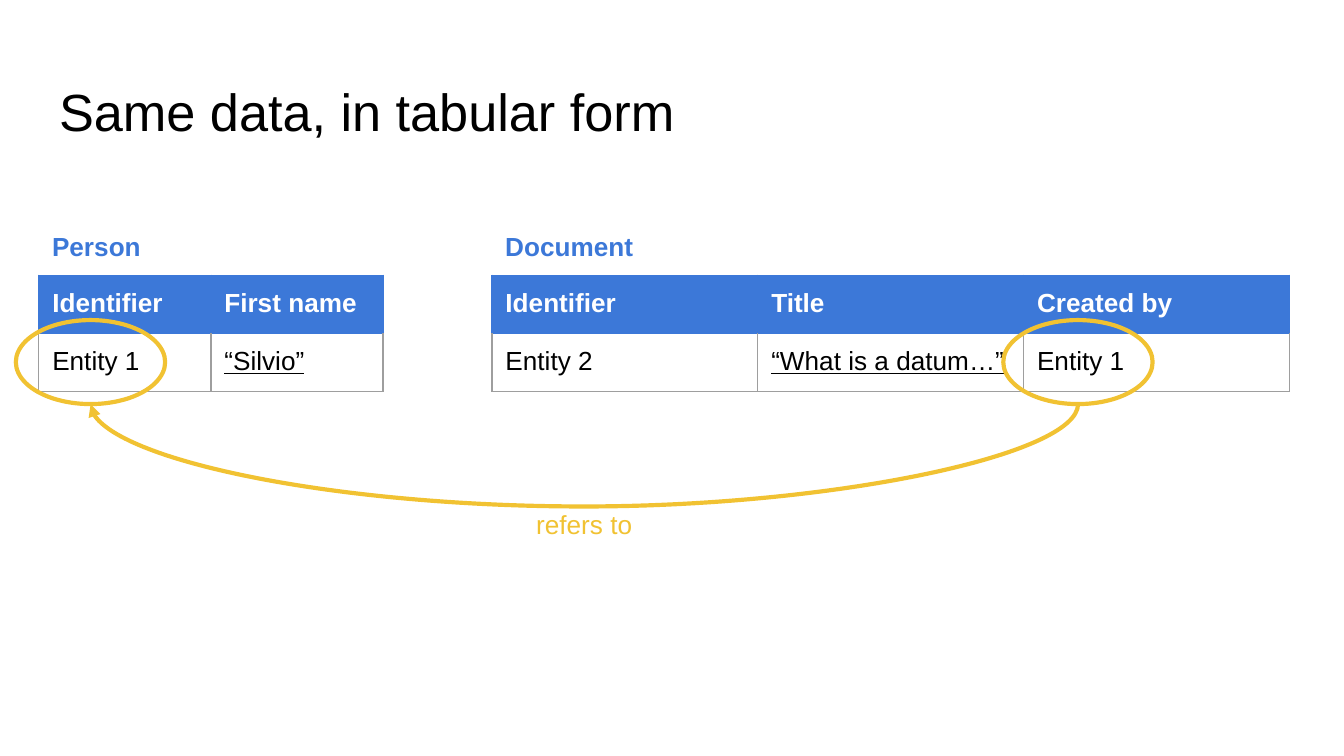
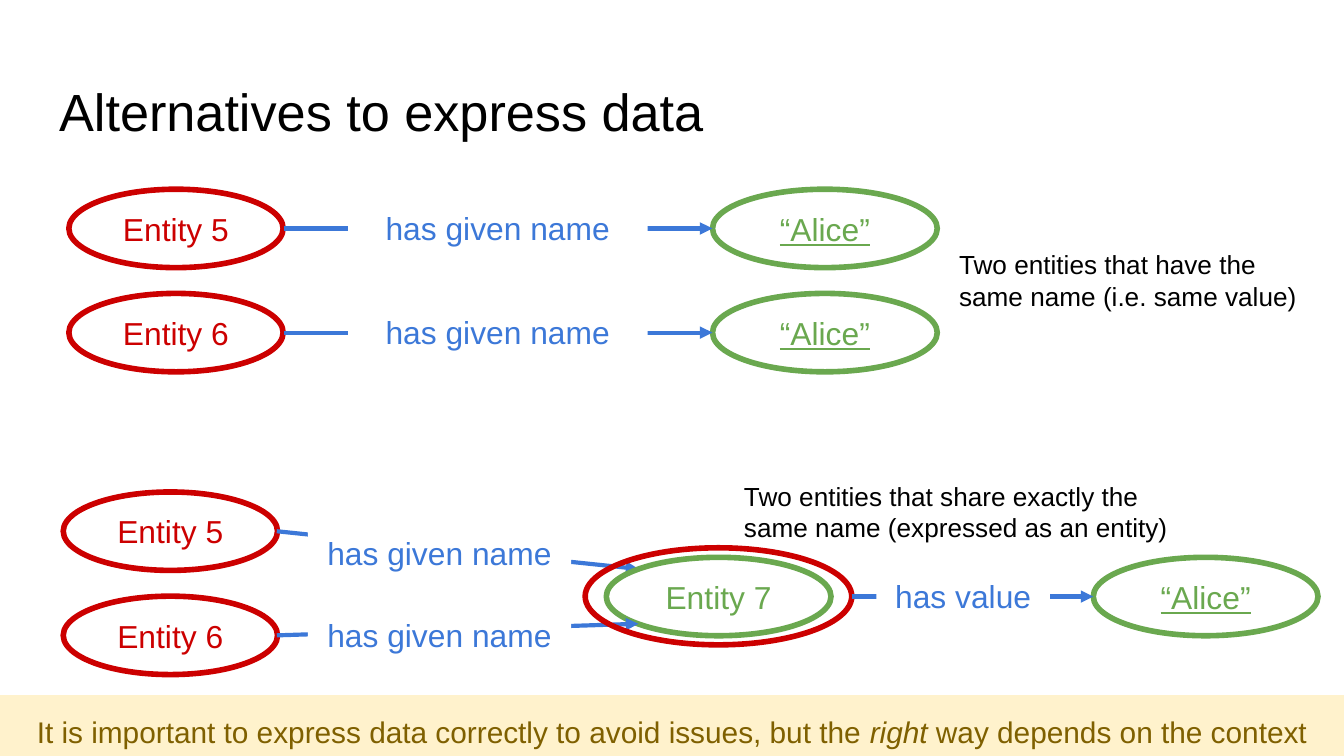
from lxml import etree
from pptx import Presentation
from pptx.dml.color import RGBColor
from pptx.enum.shapes import MSO_CONNECTOR, MSO_SHAPE
from pptx.enum.text import MSO_ANCHOR, MSO_AUTO_SIZE, PP_ALIGN
from pptx.oxml.ns import qn
from pptx.util import Pt

OVAL, RECTANGLE = MSO_SHAPE.OVAL, MSO_SHAPE.RECTANGLE
STRAIGHT, CURVE = MSO_CONNECTOR.STRAIGHT, MSO_CONNECTOR.CURVE
TOP, MIDDLE = MSO_ANCHOR.TOP, MSO_ANCHOR.MIDDLE
LEFT, CENTER = PP_ALIGN.LEFT, PP_ALIGN.CENTER

BLACK, WHITE, GRAY, BLUE = "000000", "FFFFFF", "9E9E9E", "3C78D8"
YELLOW, RED, GREEN = "F1C232", "CC0000", "6AA84F"
CREAM, BROWN = "FFF2CC", "7F6000"
color = RGBColor.from_string


def write(frame, text, size, ink, align=LEFT, anchor=TOP, **formats):
    """Fill a text frame with one paragraph and return the paragraph."""
    settings = {"word_wrap": True, "auto_size": MSO_AUTO_SIZE.NONE,
                "vertical_anchor": anchor}
    for side in ("left", "right", "top", "bottom"):
        settings["margin_" + side] = Pt(7.2)
    for name, value in settings.items():
        setattr(frame, name, value)
    paragraph = frame.paragraphs[0]
    paragraph.alignment = align
    # Text between asterisks is italic
    for index, part in enumerate(text.split("*")):
        run = paragraph.add_run()
        run.text = part
        run.font.color.rgb = color(ink)
        font = {"name": "Arial", "size": Pt(size), "bold": False,
                "italic": index % 2 == 1, **formats}
        for name, value in font.items():
            setattr(run.font, name, value)
    return paragraph


def add_box(slide, kind, box, fill=None, line=None, width=3):
    """Add a preset shape with an optional fill and outline."""
    shape = slide.shapes.add_shape(kind, *map(Pt, box))
    shape.shadow.inherit = False
    if fill:
        shape.fill.solid()
        shape.fill.fore_color.rgb = color(fill)
    else:
        shape.fill.background()
    if line:
        shape.line.color.rgb = color(line)
        shape.line.width = Pt(width)
    else:
        shape.line.fill.background()
    return shape


presentation = Presentation()
presentation.slide_width, presentation.slide_height = Pt(720), Pt(405)

# Slides with their titles
slides = []
for title_text in ("Same data, in tabular form", "Alternatives to express data"):
    slide = presentation.slides.add_slide(presentation.slide_layouts[5])
    title = slide.shapes.title
    title.left, title.top, title.width, title.height = map(Pt, (24.5, 35.5, 671, 45))
    write(title.text_frame, title_text, 28, BLACK)
    slides.append(slide)
tables_slide, graph_slide = slides
arrows = []

# Slide 1: tables with their names
ROW_HEIGHT = 31.2
TABLES = [
    ("Person", 20.8, 92.2, [["Identifier", "First name"], ["Entity 1", "“Silvio”"]]),
    ("Document", 263.6, 142.4, [["Identifier", "Title", "Created by"],
                                ["Entity 2", "“What is a datum…”", "Entity 1"]]),
]
for table_name, left, column_width, rows in TABLES:
    columns = len(rows[0])
    table = tables_slide.shapes.add_table(
        len(rows), columns, Pt(left), Pt(147.5),
        Pt(column_width * columns), Pt(ROW_HEIGHT * len(rows))).table
    for column in table.columns:
        column.width = Pt(column_width)
    for row_index, texts in enumerate(rows):
        header = row_index == 0
        for column_index, text in enumerate(texts):
            cell = table.cell(row_index, column_index)
            write(cell.text_frame, text, 14, WHITE if header else BLACK,
                  bold=header, underline=text.startswith("“"))
            for side in ("left", "right", "top", "bottom"):
                setattr(cell, "margin_" + side, Pt(7.2))
            properties = cell._tc.get_or_add_tcPr()
            for edge in ("lnL", "lnR", "lnT", "lnB"):
                border = etree.SubElement(properties, qn("a:" + edge), w=str(Pt(0.75)))
                paint = etree.SubElement(border, qn("a:solidFill"))
                etree.SubElement(paint, qn("a:srgbClr"),
                                 val=BLUE if header or edge == "lnT" else GRAY)
            if header:
                cell.fill.solid()
                cell.fill.fore_color.rgb = color(BLUE)
            else:
                cell.fill.background()
    label = tables_slide.shapes.add_textbox(Pt(left), Pt(116), Pt(100), Pt(31.5))
    write(label.text_frame, table_name, 14, BLUE, bold=True)

# Slide 1: reference from the document to its creator
rings = [add_box(tables_slide, OVAL, (left, 171.5, 80, 45), line=YELLOW, width=2.25)
         for left in (537.5, 8.5)]
# The curve is a flat connector turned by 90 degrees, bent far below its ends
SPAN, BEND, THICKNESS = 529, 48.4, 0.05
reference = tables_slide.shapes.add_connector(
    CURVE, Pt(313), Pt(216.5 - SPAN / 2), Pt(313 + THICKNESS), Pt(216.5 + SPAN / 2))
reference._element.spPr.find(qn("a:xfrm")).set("rot", "5400000")
adjustments = reference._element.spPr.find(qn("a:prstGeom")).find(qn("a:avLst"))
etree.SubElement(adjustments, qn("a:gd"), name="adj1",
                 fmla=f"val {round(BEND / THICKNESS * 100000)}")
ends = reference._element.nvCxnSpPr.cNvCxnSpPr
for tag, ring in zip(("a:stCxn", "a:endCxn"), rings):
    etree.SubElement(ends, qn(tag), id=str(ring.shape_id), idx="4")
arrows.append((reference, YELLOW))
label = tables_slide.shapes.add_textbox(Pt(260.5), Pt(265), Pt(105), Pt(31.5))
write(label.text_frame, "refers to", 14, YELLOW, CENTER)

# Slide 2: closing band
band = add_box(graph_slide, RECTANGLE, (0, 372.4, 720, 32.6), fill=CREAM)
paragraph = write(band.text_frame, "It is important to express data correctly to avoid "
                  "issues, but the *right* way depends on the context", 16, BROWN, CENTER)
paragraph.line_spacing = 1.15
paragraph.space_after = Pt(16)

# Slide 2: graph parts from back to front; links give ends, then label box
GIVEN, ALICE = "has given name", "“Alice”"
graph = []
for entity, top in (("Entity 5", 101.4), ("Entity 6", 157.2)):
    middle = top + 21
    graph += [("entity", entity, (36.9, top)), ("value", ALICE, (381.7, top)),
              ("link", GIVEN, (152, middle, 381.7, middle), (186.5, top + 3.2, 160.5))]
graph += [
    ("entity", "Entity 5", (33.9, 263.6)),
    ("link", GIVEN, (148.3, 284.6, 342, 304.8), (165, 278.5, 141)),
    ("entity", "Entity 6", (33.9, 319.4)),
    ("value", "Entity 7", (324.8, 298.6)),
    ("link", GIVEN, (148.3, 340.4, 342, 334.2), (165, 322.6, 141)),
    ("value", ALICE, (585.7, 298.6)),
    ("ring", "", (313.5, 293.5)),
    ("link", "has value", (456.3, 319.6, 585.7, 319.6), (469.5, 301.7, 93)),
]
OVALS = {"entity": (114.8, 42, RED), "value": (120.4, 42, GREEN), "ring": (142.8, 52, RED)}
for kind, text, place, *label_box in graph:
    if kind == "link":
        arrow = graph_slide.shapes.add_connector(STRAIGHT, *map(Pt, place))
        arrows.append((arrow, BLUE))
        label = add_box(graph_slide, RECTANGLE, (*label_box[0], 35.3), fill=WHITE)
        write(label.text_frame, text, 17, BLUE, CENTER)
    else:
        width, height, ink = OVALS[kind]
        oval = add_box(graph_slide, OVAL, (*place, width, height), line=ink)
        if text:
            write(oval.text_frame, text, 17, ink, CENTER, MIDDLE,
                  underline=text == ALICE)

# Slide 2: remarks
REMARKS = [
    ("Two entities that have the same name (i.e. same value)", (506.7, 126, 199.5, 48)),
    ("Two entities that share exactly the same name (expressed as an entity)",
     (391.5, 250, 263, 48)),
]
for text, box in REMARKS:
    remark = graph_slide.shapes.add_textbox(*map(Pt, box))
    write(remark.text_frame, text, 14, BLACK)

# Line style and heads of all arrows
for arrow, ink in arrows:
    arrow.line.color.rgb = color(ink)
    arrow.line.width = Pt(2.25)
    etree.SubElement(arrow.line._get_or_add_ln(), qn("a:tailEnd"), type="triangle")
    etree.SubElement(arrow._element.spPr, qn("a:effectLst"))

presentation.save("out.pptx")
